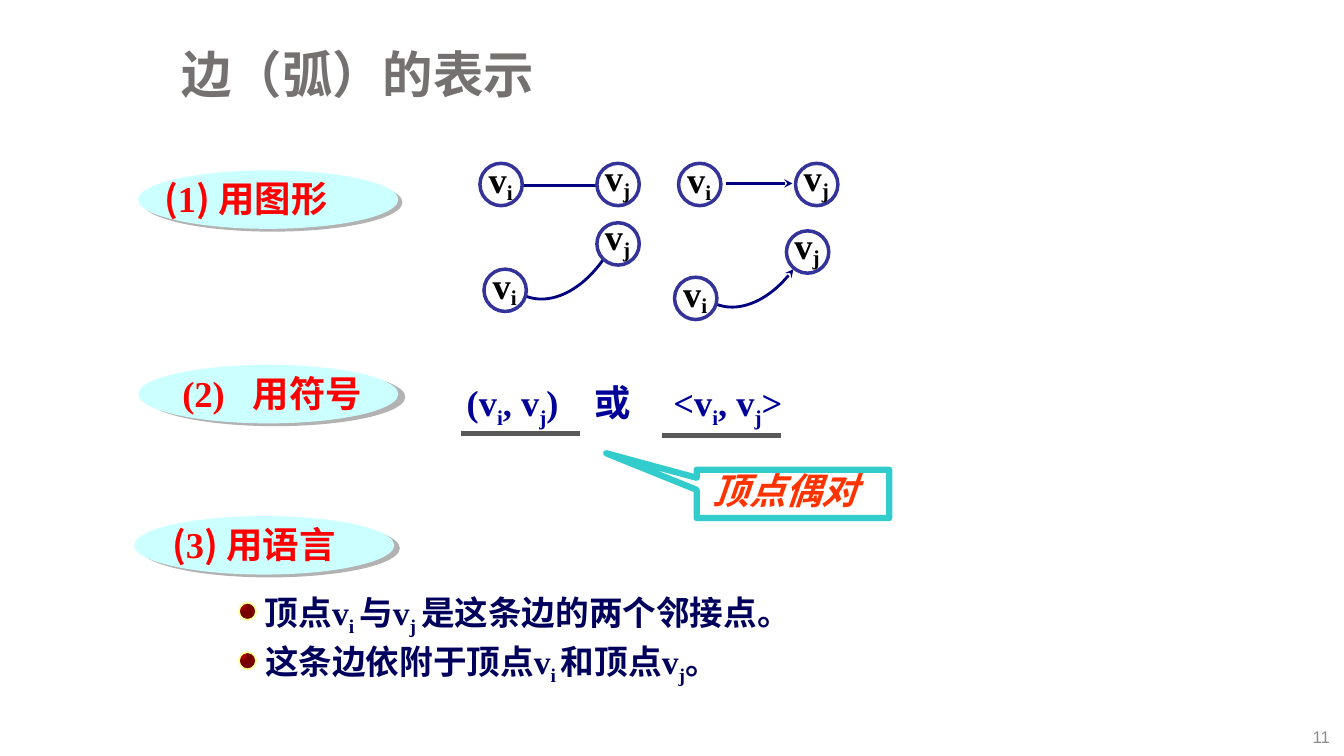
from lxml import etree
from pptx import Presentation
from pptx.dml.color import RGBColor
from pptx.enum.shapes import MSO_CONNECTOR as CONNECTOR, MSO_SHAPE as SHAPE
from pptx.enum.text import MSO_ANCHOR as ANCHOR, PP_ALIGN as ALIGN
from pptx.oxml import parse_xml
from pptx.oxml.ns import nsdecls, qn
from pptx.util import Emu, Inches, Pt

CJK, SERIF, SANS = "Noto Sans CJK SC", "Times New Roman", "Arial"
SUB = -25
NAVY, RING, INK = "000080", "333399", "00005C"

TITLE = [("边（弧）的表示", SANS, 0)]
HEADINGS = [
    (1.37, 1.69, 0.16, 2.17, 3.6, 34,
     [("(", CJK, 0), ("1", SERIF, 0), (") 用图形", CJK, 0)]),
    (1.37, 3.62, 0.34, 2.07, 5.4, 22, [("(2)\t用符号", SERIF, 0)]),
    (1.33, 5.12, 0.28, 2.07, 4.5, 27,
     [("(", CJK, 0), ("3", SERIF, 0), (") 用语言", CJK, 0)]),
]
BULLETS = [
    (5.82, 5.98, 6.5,
     [("顶点", CJK, 0), ("v", SERIF, 0), ("i ", SERIF, SUB), ("与", CJK, 0),
      ("v", SERIF, 0), ("j ", SERIF, SUB), ("是这条边的两个邻接点。", CJK, 0)]),
    (6.31, 6.47, 4.95,
     [("这条边依附于顶点", CJK, 0), ("v", SERIF, 0), ("i ", SERIF, SUB),
      ("和顶点", CJK, 0), ("v", SERIF, 0), ("j", SERIF, SUB), ("。", CJK, 0)]),
]
PAIRS = [("(v", SERIF, 0), ("i", SERIF, SUB), (", v", SERIF, 0), ("j", SERIF, SUB),
         (")\t或\t<v", SERIF, 0), ("i", SERIF, SUB), (", v", SERIF, 0),
         ("j", SERIF, SUB), (">", SERIF, 0)]
NODES = [("i", 4.76, 1.62), ("j", 5.92, 1.62), ("i", 6.73, 1.62), ("j", 7.89, 1.62),
         ("i", 4.80, 2.67), ("j", 5.92, 2.21), ("i", 6.69, 2.75), ("j", 7.80, 2.29)]
NODE_SIZE = 0.42
NODE_LABELS = {"i": (-0.02, -0.11, 0.45), "j": (-0.03, -0.13, 0.47)}
LINES = [
    (5.17, 5.92, 1.84, NAVY, 2, False),
    (7.20, 7.86, 1.82, NAVY, 2, True),
    (4.57, 5.75, 4.30, "595959", 3.25, False),
    (6.57, 7.75, 4.32, "595959", 3.25, False),
]
ARCS = [
    ([(5.22, 2.94), (5.46, 3.03), (5.76, 2.89), (5.98, 2.58)], False),
    ([(7.11, 3.02), (7.35, 3.11), (7.65, 2.97), (7.87, 2.67)], True),
]
ARC_STEPS = 24

presentation = Presentation()
presentation.slide_width, presentation.slide_height = Inches(13.33), Inches(7.5)
slide = presentation.slides.add_slide(presentation.slide_layouts[6])
shapes = slide.shapes


def color(value):
    return RGBColor.from_string(value)


def shadow_effect(value, distance, angle):
    return parse_xml(
        f'<a:effectLst {nsdecls("a")}><a:outerShdw dist="{Pt(distance)}" '
        f'dir="{angle * 60000}" algn="ctr" rotWithShape="0">'
        f'<a:srgbClr val="{value}"/></a:outerShdw></a:effectLst>')


def add_text(box, runs, size, ink, bold=True, italic=False, wrap=True, align=ALIGN.LEFT,
             anchor=ANCHOR.TOP, shadow=False, tabs=(), spacing=None):
    text_box = shapes.add_textbox(*map(Inches, box))
    frame = text_box.text_frame
    frame.word_wrap, frame.vertical_anchor = wrap, anchor
    paragraph = frame.paragraphs[0]
    paragraph.alignment = align
    if spacing:
        paragraph.line_spacing = spacing
    if tabs:
        stops = etree.SubElement(paragraph._p.get_or_add_pPr(), qn("a:tabLst"))
        for position in tabs:
            etree.SubElement(stops, qn("a:tab"), pos=str(Inches(position)), algn="l")
    for text, font_name, baseline in runs:
        run = paragraph.add_run()
        run.text = text
        formats = {"size": Pt(size), "bold": bold, "italic": italic, "name": font_name}
        for name, value in formats.items():
            setattr(run.font, name, value)
        run.font.color.rgb = color(ink)
        properties = run._r.get_or_add_rPr()
        if baseline:
            properties.set("baseline", str(baseline * 1000))
        if shadow:
            properties.find(qn("a:solidFill")).addnext(shadow_effect("000000", 2, 45))
        east_asian = etree.Element(qn("a:ea"), typeface=CJK)
        properties.find(qn("a:latin")).addnext(east_asian)


def set_line(shape, ink, width, arrow=False):
    shape.line.color.rgb = color(ink)
    shape.line.width = Pt(width)
    if arrow:
        etree.SubElement(shape.line._get_or_add_ln(), qn("a:tailEnd"), type="stealth")


def add_preset(kind, box, fill=None, line=None):
    shape = shapes.add_shape(kind, *map(Inches, box))
    shape.shadow.inherit = False
    if fill:
        shape.fill.solid()
        shape.fill.fore_color.rgb = color(fill)
    else:
        shape.fill.background()
    if line:
        set_line(shape, *line)
    else:
        shape.line.fill.background()
    return shape


def add_bullet_dot(top):
    dot = add_preset(SHAPE.OVAL, (2.37, top, 0.17, 0.17), line=("FFFF99", 1.25))
    dot.fill.gradient()
    for stop, (position, value) in zip(dot.fill.gradient_stops, [(0, "FF0000"), (1, "760000")]):
        stop.position = position
        stop.color.rgb = color(value)
    gradient = dot._element.spPr.find(qn("a:gradFill"))
    gradient.remove(gradient.find(qn("a:lin")))
    outline = etree.SubElement(gradient, qn("a:path"), path="rect")
    etree.SubElement(outline, qn("a:fillToRect"), r="100000", b="100000")


def bezier_point(points, t):
    weights = ((1 - t) ** 3, 3 * t * (1 - t) ** 2, 3 * t * t * (1 - t), t ** 3)
    return tuple(Inches(sum(w * p[axis] for w, p in zip(weights, points))) for axis in (0, 1))


def add_arc(points, arrow):
    curve = [bezier_point(points, step / ARC_STEPS) for step in range(ARC_STEPS + 1)]
    builder = shapes.build_freeform(*curve[0])
    builder.add_line_segments(curve[1:], close=False)
    arc = builder.convert_to_shape(Emu(0), Emu(0))
    arc.shadow.inherit = False
    arc.fill.background()
    set_line(arc, NAVY, 2, arrow)


add_text((1.7, 0.34, 11.25, 0.85), TITLE, 36, "767171", anchor=ANCHOR.MIDDLE, spacing=0.9)
add_text((12.82, 7.12, 0.47, 0.38), [("11", SANS, 0)], 12, "8C8C8C", bold=False,
         align=ALIGN.RIGHT, anchor=ANCHOR.MIDDLE)

for left, top, indent, width, distance, angle, runs in HEADINGS:
    oval = add_preset(SHAPE.OVAL, (left, top, 2.58, 0.58), fill="CCFFFF")
    properties = oval._element.spPr
    properties.replace(properties.find(qn("a:effectLst")),
                       shadow_effect("B2B2B2", distance, angle))
    add_text((left + indent, top + 0.01, width, 0.53), runs, 26, "FF0000",
             shadow=True, tabs=(0.7,))

for text_top, dot_top, width, runs in BULLETS:
    add_text((2.53, text_top, width, 0.53), runs, 24, INK)
    add_bullet_dot(dot_top)

add_text((4.53, 3.72, 3.42, 0.53), PAIRS, 26, "000099", tabs=(1.27, 2.05))

for start, end, y, ink, width, arrow in LINES:
    line = shapes.add_connector(CONNECTOR.STRAIGHT, *map(Inches, (start, y, end, y)))
    set_line(line, ink, width, arrow)
    etree.SubElement(line._element.spPr, qn("a:effectLst"))

for points, arrow in ARCS:
    add_arc(points, arrow)

for index, left, top in NODES:
    add_preset(SHAPE.OVAL, (left, top, NODE_SIZE, NODE_SIZE), line=(RING, 2.5))
    shift_x, shift_y, width = NODE_LABELS[index]
    add_text((left + shift_x, top + shift_y, width, 0.54),
             [("v", SERIF, 0), (index, SERIF, -18)], 26, "000000", wrap=False,
             align=ALIGN.CENTER)

callout = add_preset(SHAPE.RECTANGULAR_CALLOUT, (6.91, 4.66, 1.91, 0.48), line=("33CCCC", 4.5))
callout.adjustments[0], callout.adjustments[1] = -0.97, -0.84
add_text((6.97, 4.6, 1.95, 0.53), [("顶点偶对", SERIF, 0)], 26, "FF3300", italic=True, shadow=True)

presentation.save("out.pptx")
